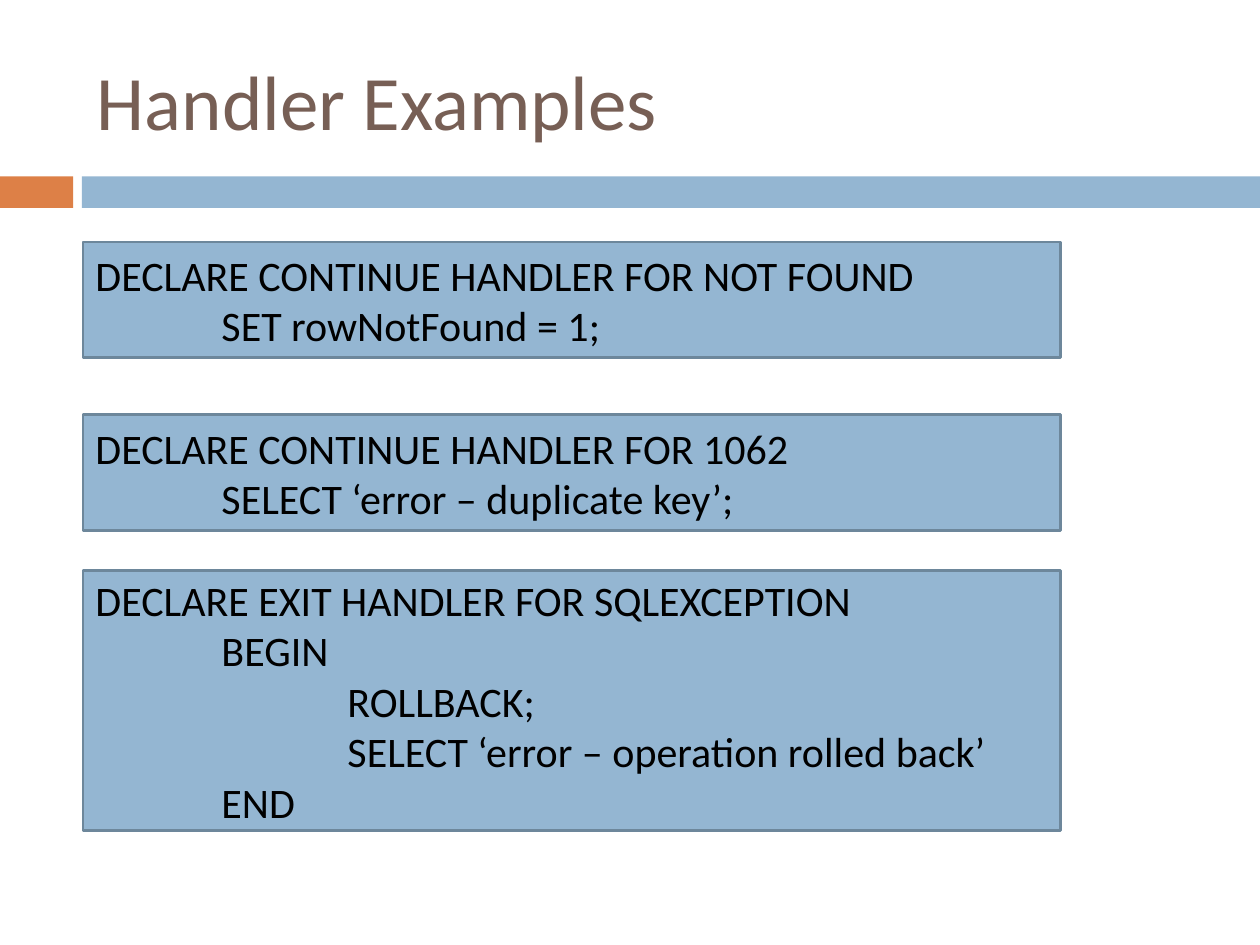
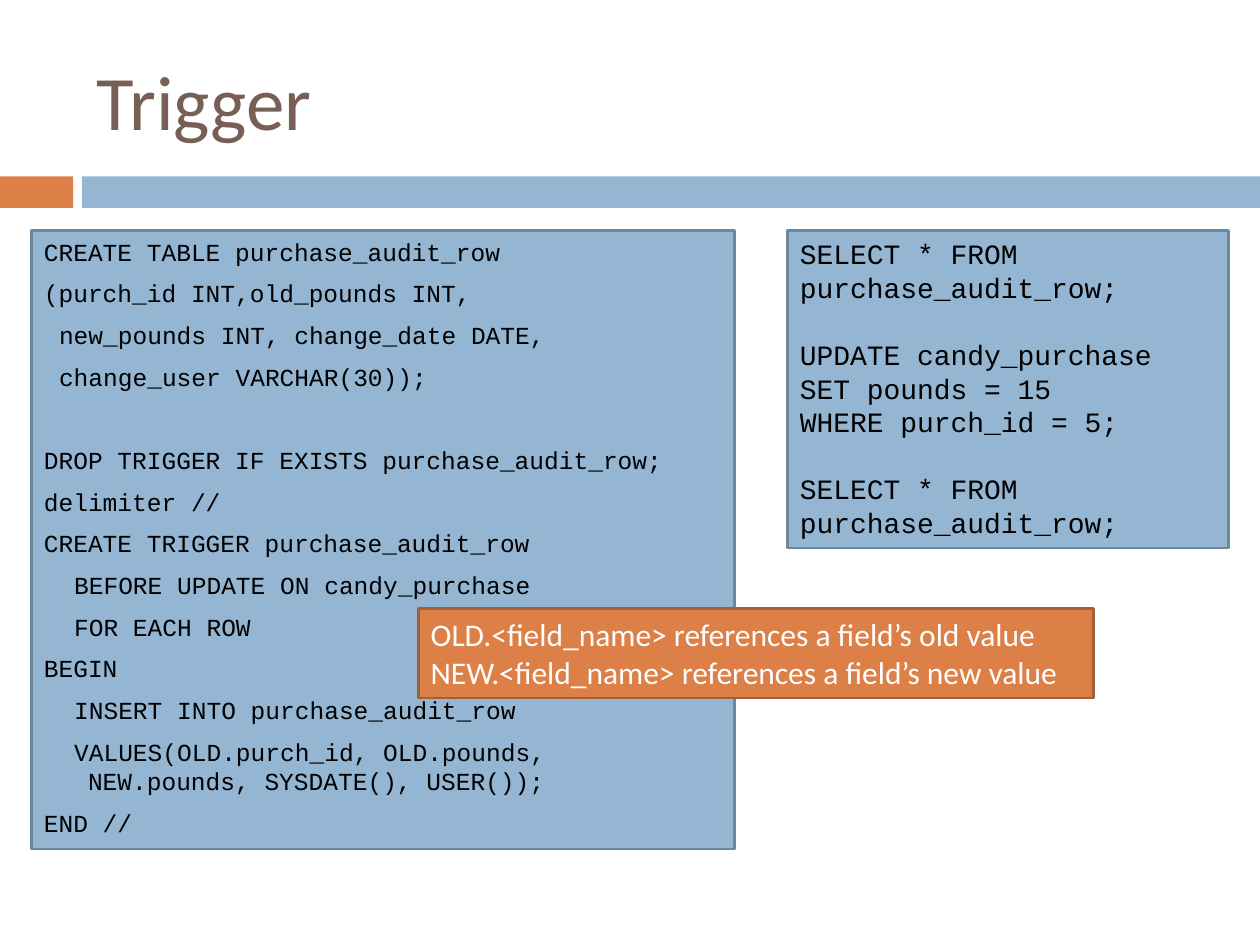
"""Build two slides on SQL error handlers and triggers."""
from dataclasses import dataclass

from pptx import Presentation
from pptx.dml.color import RGBColor
from pptx.enum.shapes import MSO_SHAPE
from pptx.enum.text import MSO_ANCHOR, PP_ALIGN
from pptx.util import Inches, Pt

RECTANGLE = MSO_SHAPE.RECTANGLE
MIDDLE, TOP = MSO_ANCHOR.MIDDLE, MSO_ANCHOR.TOP
LEFT = PP_ALIGN.LEFT


@dataclass(frozen=True)
class Theme:
    blue: str = "94B6D2"
    blue_edge: str = "6D879B"
    orange: str = "DD8047"
    orange_edge: str = "A35F35"
    brown: str = "775F55"
    black: str = "000000"
    white: str = "FFFFFF"
    prose: str = "Calibri"
    code: str = "Courier New"
    title_size: int = 44
    handler_size: int = 24
    callout_size: int = 18
    query_size: int = 16
    trigger_size: int = 14
    line_height: float = 1.2


THEME = Theme()


def add_panel(slide, box, fill, edge=None):
    panel = slide.shapes.add_shape(RECTANGLE, *map(Inches, box))
    panel.shadow.inherit = False
    panel.fill.solid()
    panel.fill.fore_color.rgb = RGBColor.from_string(fill)
    if edge:
        panel.line.color.rgb = RGBColor.from_string(edge)
        panel.line.width = Pt(1.5)
    else:
        panel.line.fill.background()
    return panel


def write_lines(shape, lines, font, size, color, anchor=TOP, step=1, hang=0, gap=0):
    frame = shape.text_frame
    frame.word_wrap = True
    frame.vertical_anchor = anchor
    for number, (level, text, *section_start) in enumerate(lines):
        paragraph = frame.add_paragraph() if number else frame.paragraphs[0]
        paragraph.alignment = LEFT
        skipped = size * THEME.line_height + gap if section_start else 0
        paragraph.space_before = Pt(gap + skipped)
        properties = paragraph._p.get_or_add_pPr()
        properties.set("marL", str(Inches(hang)))
        properties.set("indent", str(Inches(level * step - hang)))
        run = paragraph.add_run()
        run.text = text
        run.font.name = font
        run.font.size = Pt(size)
        run.font.color.rgb = RGBColor.from_string(color)


deck = Presentation()
deck.slide_width, deck.slide_height = Inches(10), Inches(7.5)
blank_layout = deck.slide_layouts[6]

slides = []
for heading in ("Handler Examples", "Trigger"):
    slide = deck.slides.add_slide(blank_layout)
    add_panel(slide, (0, 1.4, 0.58, 0.25), THEME.orange)
    add_panel(slide, (0.65, 1.4, 9.35, 0.25), THEME.blue)
    title = slide.shapes.add_textbox(*map(Inches, (0.67, 0.25, 8.92, 1.08)))
    write_lines(title, [(0, heading)], THEME.prose, THEME.title_size, THEME.brown, MIDDLE)
    slides.append(slide)
handler_slide, trigger_slide = slides

handlers = [
    (1.92, 0.92, [
        (0, "DECLARE CONTINUE HANDLER FOR NOT FOUND"),
        (1, "SET rowNotFound = 1;"),
    ]),
    (3.29, 0.92, [
        (0, "DECLARE CONTINUE HANDLER FOR 1062"),
        (1, "SELECT ‘error – duplicate key’;"),
    ]),
    (4.53, 2.06, [
        (0, "DECLARE EXIT HANDLER FOR SQLEXCEPTION"),
        (1, "BEGIN"),
        (2, "ROLLBACK;"),
        (2, "SELECT ‘error – operation rolled back’"),
        (1, "END"),
    ]),
]
for top, height, statements in handlers:
    handler = add_panel(handler_slide, (0.66, top, 7.76, height), THEME.blue, THEME.blue_edge)
    write_lines(handler, statements, THEME.prose, THEME.handler_size, THEME.black, MIDDLE)

trigger_code = [
    (0, "CREATE TABLE purchase_audit_row"),
    (0, "(purch_id INT,old_pounds INT,"),
    (1, "new_pounds INT, change_date DATE,"),
    (1, "change_user VARCHAR(30));"),
    (0, "DROP TRIGGER IF EXISTS purchase_audit_row;", True),
    (0, "delimiter //"),
    (0, "CREATE TRIGGER purchase_audit_row"),
    (2, "BEFORE UPDATE ON candy_purchase"),
    (2, "FOR EACH ROW"),
    (0, "BEGIN"),
    (2, "INSERT INTO purchase_audit_row"),
    (2, "VALUES(OLD.purch_id, OLD.pounds, NEW.pounds, SYSDATE(), USER());"),
    (0, "END //"),
]
definition = add_panel(trigger_slide, (0.25, 1.83, 5.58, 4.91), THEME.blue, THEME.blue_edge)
write_lines(definition, trigger_code, THEME.code, THEME.trigger_size, THEME.black,
            step=0.12, hang=0.35, gap=7)

field_notes = [
    (0, "OLD.<field_name> references a field’s old value"),
    (0, "NEW.<field_name> references a field’s new value"),
]
callout = add_panel(trigger_slide, (3.32, 4.83, 5.36, 0.71), THEME.orange, THEME.orange_edge)
write_lines(callout, field_notes, THEME.prose, THEME.callout_size, THEME.white)

test_queries = [
    (0, "SELECT * FROM purchase_audit_row;"),
    (0, "UPDATE candy_purchase SET pounds = 15", True),
    (0, "WHERE purch_id = 5;"),
    (0, "SELECT * FROM purchase_audit_row;", True),
]
test = add_panel(trigger_slide, (6.25, 1.83, 3.5, 2.52), THEME.blue, THEME.blue_edge)
write_lines(test, test_queries, THEME.code, THEME.query_size, THEME.black)

deck.save("out.pptx")
